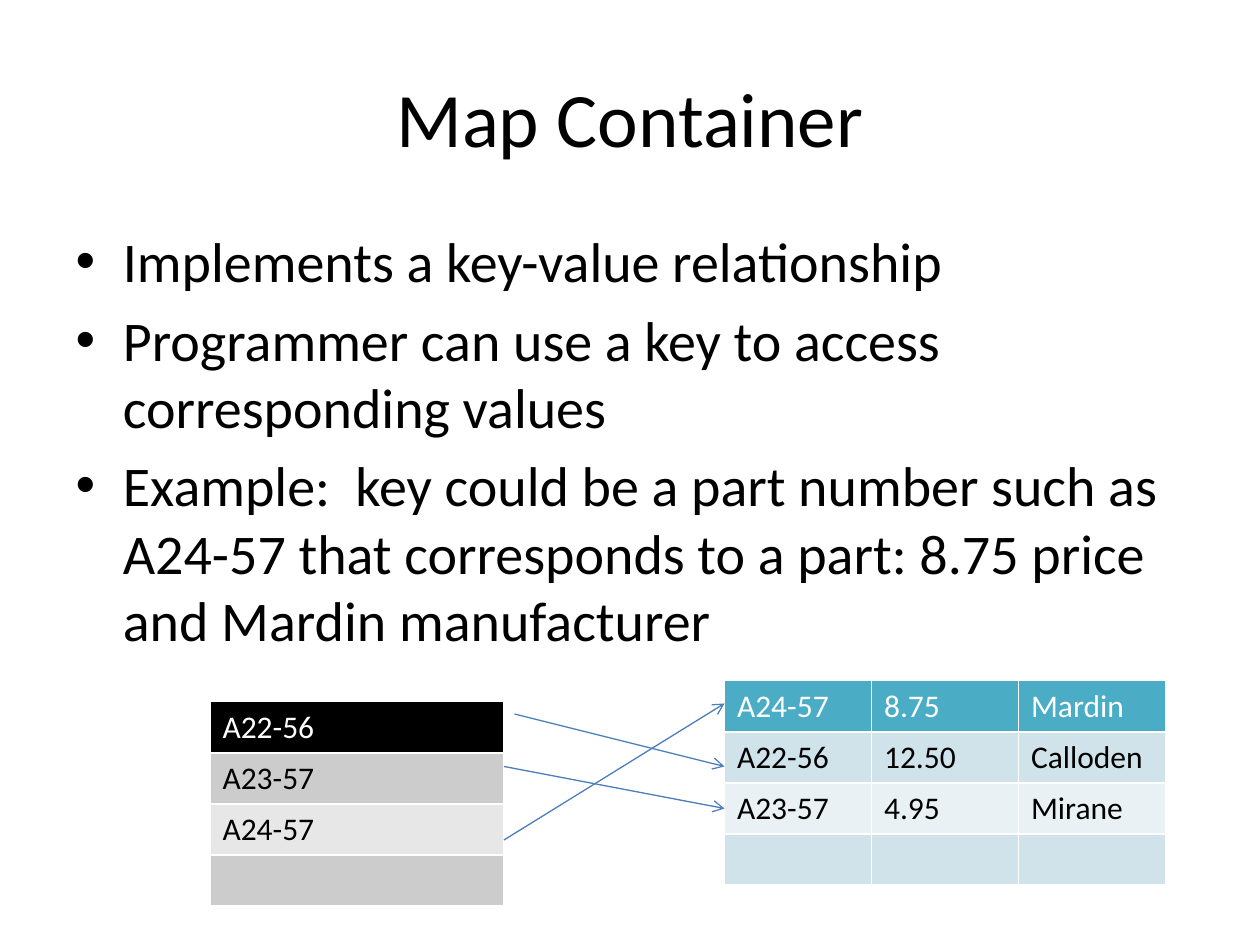
from lxml.etree import SubElement
from pptx import Presentation
from pptx.dml.color import RGBColor
from pptx.oxml.ns import qn
from pptx.enum.shapes import MSO_CONNECTOR
from pptx.enum.text import MSO_ANCHOR, PP_ALIGN
from pptx.util import Pt

FONT = "Calibri"
KEYS = [["A22-56"], ["A23-57"], ["A24-57"], [""]]
PARTS = [
    ["A24-57", "8.75", "Mardin"],
    ["A22-56", "12.50", "Calloden"],
    ["A23-57", "4.95", "Mirane"],
    ["", "", ""],
]
BULLETS = [
    "Implements a key-value relationship",
    "Programmer can use a key to access corresponding values",
    "Example:  key could be a part number such as A24-57 that corresponds "
    "to a part: 8.75 price and Mardin manufacturer",
]
ARROWS = [
    (294, 408, 414, 438),
    (288, 438, 414, 462),
    (288, 480, 414, 402),
]


def color(value):
    return RGBColor.from_string(value)


def style_paragraph(p, size, value):
    p.font.name = FONT
    p.font.size = Pt(size)
    p.font.bold = False
    p.font.color.rgb = color(value)


def fill_placeholder(sp, box, lines, size, align, anchor):
    sp.left, sp.top, sp.width, sp.height = map(Pt, box)
    tf = sp.text_frame
    tf.text = "\n".join(lines)
    tf.vertical_anchor = anchor
    for p in tf.paragraphs:
        p.alignment = align
        style_paragraph(p, size, "000000")


def add_table(s, left, top, col_width, rows, head_fill, band_fills):
    row_height = 29.2
    cols = len(rows[0])
    table = s.shapes.add_table(
        len(rows), cols, Pt(left), Pt(top),
        Pt(col_width * cols), Pt(row_height * len(rows)),
    ).table
    for col in table.columns:
        col.width = Pt(col_width)
    for i, values in enumerate(rows):
        table.rows[i].height = Pt(row_height)
        fill = band_fills[(i - 1) % 2] if i else head_fill
        for j, value in enumerate(values):
            cell = table.cell(i, j)
            cell.text = value
            cell.fill.solid()
            cell.fill.fore_color.rgb = color(fill)
            style_paragraph(cell.text_frame.paragraphs[0], 18,
                            "000000" if i else "FFFFFF")


def add_arrow(s, x1, y1, x2, y2):
    sp = s.shapes.add_connector(
        MSO_CONNECTOR.STRAIGHT, Pt(x1), Pt(y1), Pt(x2), Pt(y2))
    sp.line.color.rgb = color("4B7EBC")
    sp.line.width = Pt(0.75)
    SubElement(sp.line._get_or_add_ln(), qn("a:tailEnd"), type="arrow")
    SubElement(sp._element.spPr, qn("a:effectLst"))


def main():
    prs = Presentation()
    prs.slide_width, prs.slide_height = Pt(720), Pt(540)
    s = prs.slides.add_slide(prs.slide_layouts[1])
    fill_placeholder(s.shapes.title, (36, 21.6, 648, 90), ["Map Container"],
                     44, PP_ALIGN.CENTER, MSO_ANCHOR.MIDDLE)
    fill_placeholder(s.placeholders[1], (36, 126, 648, 356.4), BULLETS,
                     32, PP_ALIGN.LEFT, MSO_ANCHOR.TOP)
    add_table(s, 120, 401, 168, KEYS, "000000", ("CCCCCC", "E7E7E7"))
    add_table(s, 414, 389, 84, PARTS, "4BACC6", ("D0E3EA", "E9F1F5"))
    for ends in ARROWS:
        add_arrow(s, *ends)
    prs.save("out.pptx")


main()
